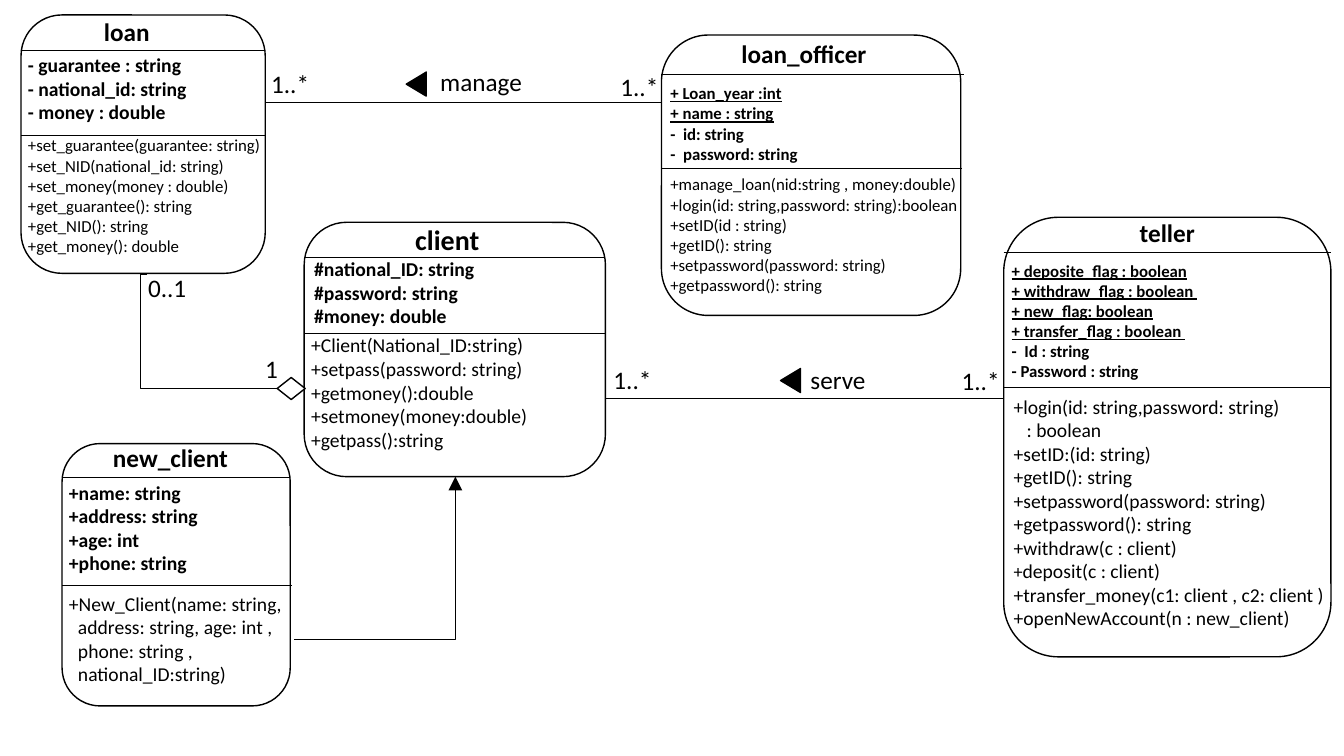
from dataclasses import dataclass
from typing import NamedTuple

from lxml import etree
from pptx import Presentation
from pptx.dml.color import RGBColor
from pptx.enum.shapes import MSO_CONNECTOR, MSO_SHAPE
from pptx.enum.text import MSO_AUTO_SIZE, PP_ALIGN
from pptx.oxml.ns import qn
from pptx.util import Emu, Pt

ROUNDED, DIAMOND, TRIANGLE = MSO_SHAPE.ROUNDED_RECTANGLE, MSO_SHAPE.DIAMOND, MSO_SHAPE.ISOSCELES_TRIANGLE
STRAIGHT, ELBOW = MSO_CONNECTOR.STRAIGHT, MSO_CONNECTOR.ELBOW
GROW, LEFT = MSO_AUTO_SIZE.SHAPE_TO_FIT_TEXT, PP_ALIGN.LEFT
BLACK, WHITE = "000000", "FFFFFF"
FONT = "Calibri"
OUTLINE_PT, RULE_PT = 1, 0.5
CORNER = 0.167
EMU_PER_PIXEL = 914400 / 100.7


class Frame(NamedTuple):
    left: int
    top: int
    width: int
    height: int


class Span(NamedTuple):
    text: str
    underline: bool = False
    size: int = 0


class Row(NamedTuple):
    spans: tuple[Span, ...]
    indent: int = 0


@dataclass
class Label:
    frame: Frame
    rows: list[Row]
    size: int = 18
    bold: bool = False
    wrap: bool = True


@dataclass
class UmlClass:
    frame: Frame
    dividers: list[tuple[int, int]]  # y and right end
    labels: list[Label]


@dataclass
class Association:
    line: tuple[int, int, int, int]
    name: Label
    pointer: Frame
    ends: list[Label]


def plain(*texts: str, indent: int = 0) -> list[Row]:
    return [Row((Span(text),), indent) for text in texts]


def static(*texts: str) -> list[Row]:
    return [Row((Span(text, underline=True),)) for text in texts]


def multiplicity(left: int, top: int, text: str) -> Label:
    return Label(Frame(left, top, 68, 40), plain(text))


def px(pixels: float) -> Emu:
    return Emu(round(pixels * EMU_PER_PIXEL))


def rgb(color: str) -> RGBColor:
    return RGBColor.from_string(color)


def draw_shape(kind: MSO_SHAPE, frame: Frame, fill: str):
    shape = slide.shapes.add_shape(kind, *map(px, frame))
    shape.shadow.inherit = False
    shape.fill.solid()
    shape.fill.fore_color.rgb = rgb(fill)
    shape.line.color.rgb = rgb(BLACK)
    shape.line.width = Pt(OUTLINE_PT)
    return shape


def draw_line(ends: tuple[int, int, int, int], kind: MSO_CONNECTOR = STRAIGHT):
    line = slide.shapes.add_connector(kind, *map(px, ends))
    line.line.color.rgb = rgb(BLACK)
    line.line.width = Pt(RULE_PT)
    etree.SubElement(line._element.spPr, qn("a:effectLst"))
    return line


def draw_label(label: Label) -> None:
    frame = slide.shapes.add_textbox(*map(px, label.frame)).text_frame
    frame.word_wrap = label.wrap
    frame.auto_size = GROW
    for index, row in enumerate(label.rows):
        paragraph = frame.add_paragraph() if index else frame.paragraphs[0]
        paragraph.alignment = LEFT
        if row.indent:
            paragraph._p.get_or_add_pPr().set("marL", str(px(row.indent)))
        for span in row.spans:
            run = paragraph.add_run()
            run.text = span.text
            run.font.name = FONT
            run.font.size = Pt(span.size or label.size)
            run.font.bold = label.bold
            run.font.underline = span.underline
            run.font.color.rgb = rgb(BLACK)


def draw_class(uml: UmlClass) -> None:
    draw_shape(ROUNDED, uml.frame, WHITE).adjustments[0] = CORNER
    for y, right in uml.dividers:
        draw_line((uml.frame.left, y, right, y))
    for label in uml.labels:
        draw_label(label)


def draw_association(association: Association) -> None:
    draw_line(association.line)
    draw_shape(TRIANGLE, association.pointer, BLACK).rotation = 270
    for label in [association.name, *association.ends]:
        draw_label(label)


loan = UmlClass(Frame(21, 15, 244, 258), [(50, 265), (135, 265)], [
    Label(Frame(94, 11, 90, 40), plain("loan"), bold=True),
    Label(Frame(18, 48, 182, 81), plain(
        "- guarantee : string", "- national_id: string", "- money : double"), 14, bold=True),
    Label(Frame(18, 130, 254, 131), plain(
        "+set_guarantee(guarantee: string)", "+set_NID(national_id: string)",
        "+set_money(money : double)", "+get_guarantee(): string",
        "+get_NID(): string", "+get_money(): double"), 12, wrap=False)])

loan_officer = UmlClass(Frame(661, 35, 299, 280), [(74, 963), (168, 961)], [
    Label(Frame(731, 33, 168, 40), plain("loan_officer"), bold=True),
    Label(Frame(660, 78, 163, 152), static("+ Loan_year :int", "+ name : string")
          + plain("-  id: string", "-  password: string"), 12, bold=True),
    Label(Frame(660, 169, 311, 171), plain(
        "+manage_loan(nid:string , money:double)", "+login(id: string,password: string):boolean",
        "+setID(id : string)", "+getID(): string",
        "+setpassword(password: string)", "+getpassword(): string"), 12)])

client = UmlClass(Frame(304, 222, 301, 254), [(257, 605), (333, 605)], [
    Label(Frame(405, 217, 85, 44), plain("client"), 20, bold=True, wrap=False),
    Label(Frame(304, 252, 190, 81), plain(
        "#national_ID: string", "#password: string", "#money: double"), 14, bold=True),
    Label(Frame(301, 328, 237, 128), plain(
        "+Client(National_ID:string)", "+setpass(password: string)", "+getmoney():double",
        "+setmoney(money:double)", "+getpass():string"), 14, wrap=False)])

new_client = UmlClass(Frame(62, 443, 228, 262), [(477, 290), (585, 292)], [
    Label(Frame(103, 437, 135, 40), plain("new_client"), bold=True, wrap=False),
    Label(Frame(59, 475, 182, 105), plain(
        "+name: string", "+address: string", "+age: int", "+phone: string"), 14, bold=True),
    Label(Frame(59, 586, 233, 105), plain("+New_Client(name: string,") + plain(
        "address: string, age: int ,", "phone: string ,", "national_ID:string)", indent=9),
        14, wrap=False)])

teller = UmlClass(Frame(1003, 217, 327, 439), [(252, 1330), (387, 1330)], [
    Label(Frame(1129, 212, 90, 40), plain("teller"), bold=True),
    Label(Frame(1001, 255, 313, 131), static(
        "+ deposite_flag : boolean", "+ withdraw_flag : boolean ", "+ new_flag: boolean",
        "+ transfer_flag : boolean ") + plain("-  Id : string", "- Password : string"), 12, bold=True),
    Label(Frame(1003, 389, 345, 246), [
        *plain("+login(id: string,password: string)"),
        *plain(": boolean", indent=13),
        *plain("+setID:(id: string)", "+getID(): string", "+setpassword(password: string)",
               "+getpassword(): string", "+withdraw(c : client)"),
        Row((Span("+", size=13), Span("deposit(c : client)"))),
        *plain("+transfer_money(c1: client , c2: client )", "+openNewAccount(n : new_client)")], 14)])

manage = Association((661, 102, 265, 102),
                     Label(Frame(424, 61, 138, 40), plain("manage", indent=6)),
                     Frame(404, 74, 24, 20),
                     [multiplicity(610, 66, "1..*"), multiplicity(261, 63, "1..*")])
serve = Association((1003, 398, 606, 398),
                    Label(Frame(794, 359, 138, 40), plain("serve", indent=6)),
                    Frame(778, 370, 24, 20),
                    [multiplicity(951, 360, "1..*"), multiplicity(603, 359, "1..*")])

presentation = Presentation()
presentation.slide_width, presentation.slide_height = px(1343), px(755)
slide = presentation.slides.add_slide(presentation.slide_layouts[6])

# Classes and their named associations
for uml_class in (loan, loan_officer, client, new_client, teller):
    draw_class(uml_class)
for link in (manage, serve):
    draw_association(link)

# Aggregation of loan in client, bending left of its start
aggregation = draw_line((147, 274, 277, 388), ELBOW)
bend = aggregation._element.spPr.find(qn("a:prstGeom")).find(qn("a:avLst"))
etree.SubElement(bend, qn("a:gd"), name="adj1", fmla="val -5400")
draw_shape(DIAMOND, Frame(277, 377, 28, 22), WHITE)
for end in (multiplicity(255, 348, "1"), multiplicity(138, 267, "0..1")):
    draw_label(end)

# Inheritance of new_client from client, with one corner
inheritance = draw_line((294, 639, 455, 476), ELBOW)
inheritance._element.spPr.find(qn("a:prstGeom")).set("prst", "bentConnector2")
etree.SubElement(inheritance.line._get_or_add_ln(), qn("a:tailEnd"), type="triangle", w="lg", len="lg")

presentation.save("out.pptx")
